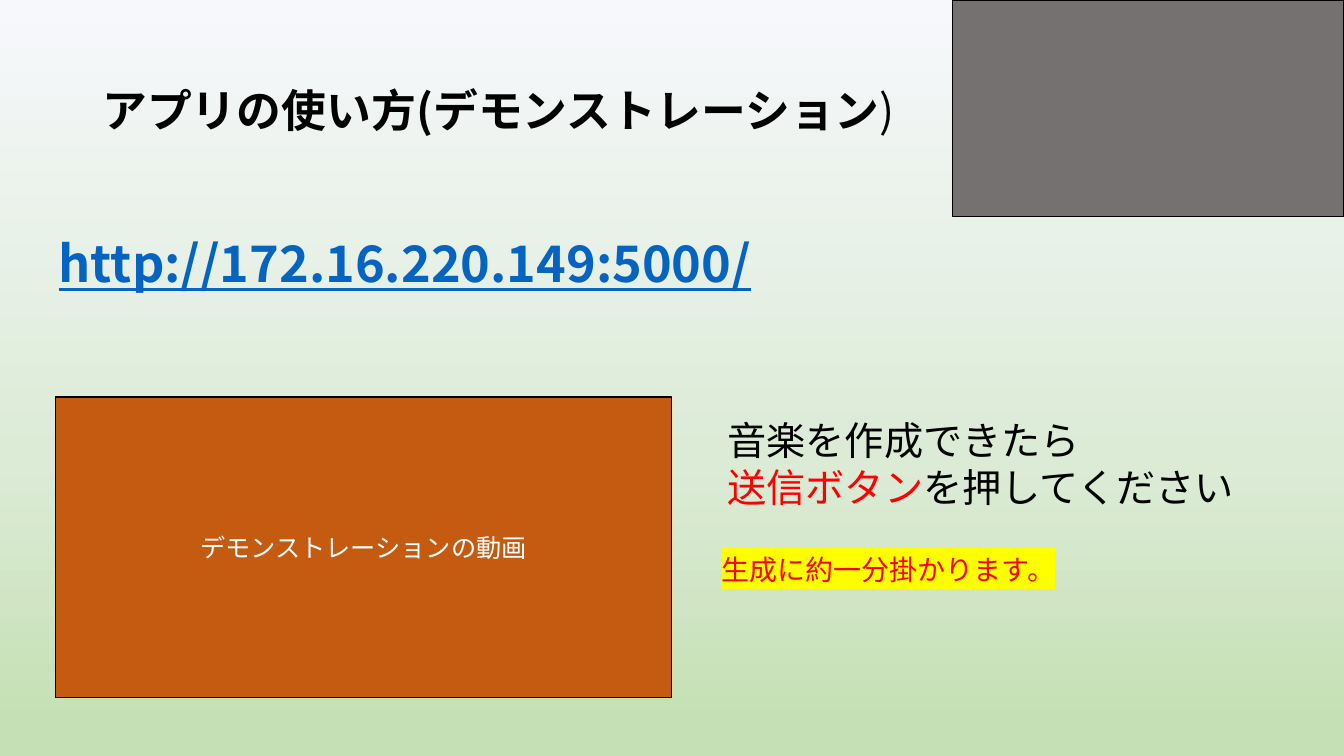
from copy import deepcopy
from dataclasses import dataclass

from lxml.etree import SubElement as Sub
from pptx import Presentation
from pptx.dml.color import RGBColor as Rgb
from pptx.enum.shapes import MSO_SHAPE as Form
from pptx.enum.text import MSO_ANCHOR as Anchor, PP_ALIGN as Align
from pptx.oxml.ns import qn
from pptx.util import Pt


@dataclass
class Theme:
    font: str = "Noto Sans CJK JP"
    black: str = "000000"
    white: str = "FFFFFF"
    red: str = "FF0000"
    link: str = "0563C1"
    mark: str = "FFFF00"
    gray: str = "767171"
    rust: str = "C55A11"
    sky: tuple = ((0, "F6F8FC"), (0.61, "DCEBD6"), (0.96, "C5E0B4"))
    title: int = 32
    url: int = 36
    body: int = 28
    note: int = 20
    label: int = 18


theme = Theme()


def style(run, size, color, bold=False):
    font = run.font
    font.size = Pt(size)
    font.bold = bold
    font.color.rgb = Rgb.from_string(color)
    font.name = theme.font
    Sub(run._r.rPr, qn("a:ea"), typeface=theme.font)


def write(box, lines, size):
    frame = box.text_frame
    frame.word_wrap = True
    for i, line in enumerate(lines):
        para = frame.add_paragraph() if i else frame.paragraphs[0]
        for text, color, bold in line:
            run = para.add_run()
            run.text = text
            style(run, size, color, bold)
    return frame


deck = Presentation()
deck.slide_width, deck.slide_height = Pt(960), Pt(540)
slide = deck.slides.add_slide(deck.slide_layouts[6])
shapes = slide.shapes

back = slide.background.fill
back.gradient()
back.gradient_angle = 270
stops = slide.element.find(".//" + qn("a:gsLst"))
stops.append(deepcopy(stops[-1]))
for stop, (place, color) in zip(back.gradient_stops, theme.sky):
    stop.position = place
    stop.color.rgb = Rgb.from_string(color)

title = shapes.add_textbox(Pt(66), Pt(29), Pt(582), Pt(104))
frame = write(title, [[("アプリの使い方(デモンストレーション", theme.black, True),
                       (")", theme.black, False)]], theme.title)
frame.vertical_anchor = Anchor.MIDDLE
frame.paragraphs[0].line_spacing = 0.9

url = shapes.add_textbox(Pt(34.8), Pt(162), Pt(608), Pt(51))
frame = write(url, [[("http://172.16.220.149:5000/", theme.link, True)]], theme.url)
frame.paragraphs[0].runs[0].font.underline = True

guide = shapes.add_textbox(Pt(512.6), Pt(293.8), Pt(393), Pt(75))
write(guide, [[("音楽を作成できたら", theme.black, False)],
              [("送信ボタン", theme.red, False),
               ("を押してください", theme.black, False)]], theme.body)

note = shapes.add_textbox(Pt(508.3), Pt(391), Pt(279), Pt(32))
frame = write(note, [[("生成に約一分掛かります。", theme.red, False)]], theme.note)
props = frame.paragraphs[0].runs[0]._r.rPr
mark = Sub(props, qn("a:highlight"))
Sub(mark, qn("a:srgbClr"), val=theme.mark)
props.find(qn("a:latin")).addprevious(mark)

panels = []
for left, top, width, height, color in (
    (680.4, 0, 279.6, 154.8, theme.gray),
    (39.6, 283.7, 440, 214.5, theme.rust),
):
    panel = shapes.add_shape(Form.RECTANGLE, Pt(left), Pt(top), Pt(width), Pt(height))
    panel.shadow.inherit = False
    panel.fill.solid()
    panel.fill.fore_color.rgb = Rgb.from_string(color)
    panel.line.color.rgb = Rgb.from_string(theme.black)
    panel.line.width = Pt(1)
    panels.append(panel)

frame = write(panels[1], [[("デモンストレーションの動画", theme.white, False)]], theme.label)
frame.vertical_anchor = Anchor.MIDDLE
frame.paragraphs[0].alignment = Align.CENTER

deck.save("out.pptx")
